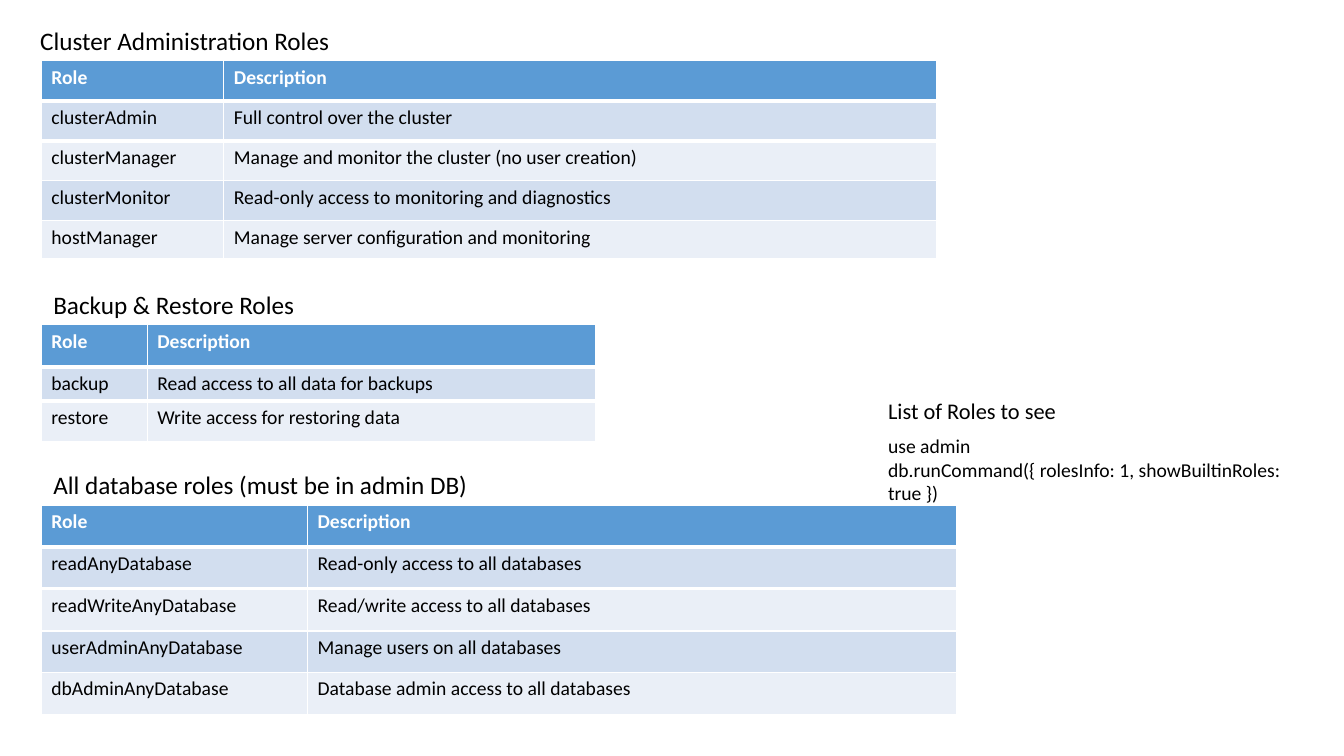
"""Build a slide listing built-in database roles in three tables."""
from dataclasses import dataclass

from lxml import etree
from pptx import Presentation
from pptx.dml.color import RGBColor
from pptx.enum.text import MSO_AUTO_SIZE
from pptx.oxml.ns import qn
from pptx.util import Inches, Pt

GROW = MSO_AUTO_SIZE.SHAPE_TO_FIT_TEXT
FONT = "Calibri"
BLACK = RGBColor(0x00, 0x00, 0x00)
WHITE = RGBColor(0xFF, 0xFF, 0xFF)
HEADER_BLUE = RGBColor(0x5B, 0x9B, 0xD5)
BANDS = (RGBColor(0xD2, 0xDE, 0xEF), RGBColor(0xEA, 0xEF, 0xF7))
TABLE_LEFT = 0.41
HEADER = ("Role", "Description")
HEADER_RULE_EDGES = ("a:lnB", "a:lnT")


@dataclass
class Caption:
    left: float
    top: float
    width: float
    height: float
    size: int
    lines: tuple[str, ...]
    wrap: bool = False


@dataclass
class RoleTable:
    top: float
    columns: tuple[float, float]
    heights: tuple[float, ...]
    roles: tuple[tuple[str, str], ...]


CAPTIONS = (
    Caption(0.3, 0.2, 3.07, 0.4, 18, ("Cluster Administration Roles",)),
    Caption(0.43, 2.82, 2.59, 0.4, 18, ("Backup & Restore Roles",)),
    Caption(0.43, 4.61, 4.35, 0.4, 18, ("All database roles (must be in admin DB)",), True),
    Caption(8.71, 3.89, 1.92, 0.37, 16, ("List of Roles to see",)),
    Caption(8.71, 4.26, 4.6, 0.57, 14, (
        "use admin",
        "db.runCommand({ rolesInfo: 1, showBuiltinRoles: true })",
    ), True),
)

ROLE_TABLES = (
    RoleTable(0.6, (1.81, 7.07), (0.4, 0.4, 0.39, 0.4, 0.38), (
        ("clusterAdmin", "Full control over the cluster"),
        ("clusterManager", "Manage and monitor the cluster (no user creation)"),
        ("clusterMonitor", "Read-only access to monitoring and diagnostics"),
        ("hostManager", "Manage server configuration and monitoring"),
    )),
    RoleTable(3.22, (1.05, 4.45), (0.42, 0.34, 0.4), (
        ("backup", "Read access to all data for backups"),
        ("restore", "Write access for restoring data"),
    )),
    RoleTable(5.01, (2.64, 6.44), (0.42, 0.41, 0.42, 0.41, 0.42), (
        ("readAnyDatabase", "Read-only access to all databases"),
        ("readWriteAnyDatabase", "Read/write access to all databases"),
        ("userAdminAnyDatabase", "Manage users on all databases"),
        ("dbAdminAnyDatabase", "Database admin access to all databases"),
    )),
)


def add_run(paragraph, text: str, size: int, color: RGBColor, bold: bool = False) -> None:
    """Append one formatted run to a paragraph."""
    run = paragraph.add_run()
    run.text = text
    run.font.name = FONT
    run.font.size = Pt(size)
    run.font.bold = bold
    run.font.color.rgb = color


def add_header_rule(cell, edge: str) -> None:
    """Draw a thick white line on one edge of a cell."""
    line = etree.Element(qn(edge), w=str(Pt(3)))
    fill = etree.SubElement(line, qn("a:solidFill"))
    etree.SubElement(fill, qn("a:srgbClr"), val=str(WHITE))
    cell._tc.get_or_add_tcPr().insert(0, line)


def draw_caption(slide, caption: Caption) -> None:
    """Draw a text box with one paragraph per line."""
    box = slide.shapes.add_textbox(
        Inches(caption.left), Inches(caption.top),
        Inches(caption.width), Inches(caption.height),
    )
    frame = box.text_frame
    frame.word_wrap = caption.wrap
    frame.auto_size = GROW
    for index, line in enumerate(caption.lines):
        paragraph = frame.add_paragraph() if index else frame.paragraphs[0]
        add_run(paragraph, line, caption.size, BLACK)


def draw_role_table(slide, spec: RoleTable) -> None:
    """Draw a table of roles with a header row and banded rows."""
    rows = (HEADER, *spec.roles)
    table = slide.shapes.add_table(
        len(rows), len(HEADER), Inches(TABLE_LEFT), Inches(spec.top),
        Inches(sum(spec.columns)), Inches(sum(spec.heights)),
    ).table
    for column, width in zip(table.columns, spec.columns):
        column.width = Inches(width)
    for index, (texts, height) in enumerate(zip(rows, spec.heights)):
        is_header = index == 0
        table.rows[index].height = Inches(height)
        for cell, text in zip(table.rows[index].cells, texts):
            cell.fill.solid()
            cell.fill.fore_color.rgb = HEADER_BLUE if is_header else BANDS[(index - 1) % 2]
            add_run(cell.text_frame.paragraphs[0], text, 14,
                    WHITE if is_header else BLACK, is_header)
    for row, edge in zip(table.rows, HEADER_RULE_EDGES):
        for cell in row.cells:
            add_header_rule(cell, edge)


def main() -> None:
    """Create the presentation and save it."""
    presentation = Presentation()
    presentation.slide_width = Inches(13.33)
    presentation.slide_height = Inches(7.5)
    slide = presentation.slides.add_slide(presentation.slide_layouts[6])
    for spec in ROLE_TABLES:
        draw_role_table(slide, spec)
    for caption in CAPTIONS:
        draw_caption(slide, caption)
    presentation.save("out.pptx")


if __name__ == "__main__":
    main()
